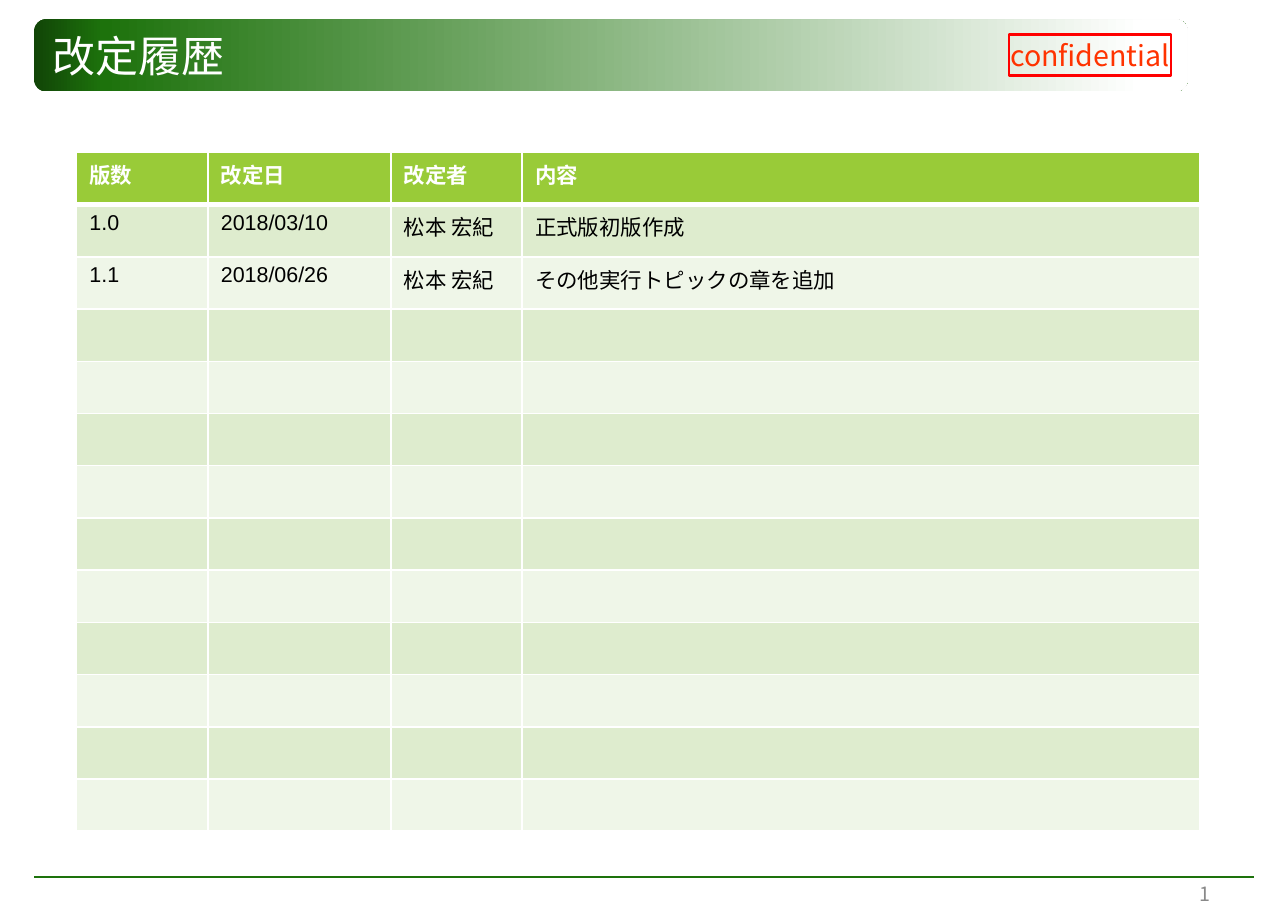
from lxml.etree import SubElement
from pptx import Presentation
from pptx.dml.color import RGBColor
from pptx.enum.shapes import MSO_CONNECTOR, MSO_SHAPE
from pptx.enum.text import MSO_ANCHOR, PP_ALIGN
from pptx.oxml import parse_xml
from pptx.oxml.ns import nsdecls, qn
from pptx.util import Pt

JP_FONT = "Noto Sans CJK JP"
HEADER = ["版数", "改定日", "改定者", "内容"]
REVISIONS = [
    ["1.0", "2018/03/10", "松本 宏紀", "正式版初版作成"],
    ["1.1", "2018/06/26", "松本 宏紀", "その他実行トピックの章を追加"],
]
BODY_ROWS = 12
COL_WIDTHS = [73.5, 102.2, 73.5, 378.6]
ROW_HEIGHT = 29.2


def rgb(color):
    return RGBColor.from_string(color)


def add_run(p, text, size, color, font=JP_FONT, bold=False):
    r = p.add_run()
    r.text = text
    r.font.size = Pt(size)
    r.font.bold = bold
    r.font.name = font
    r.font.color.rgb = rgb(color)
    SubElement(r.font._element, qn("a:ea"), typeface=JP_FONT)


def write_text(sp, text, size, color, align=PP_ALIGN.LEFT, inset=7.2, wrap=True):
    tf = sp.text_frame
    tf.word_wrap = wrap
    tf.vertical_anchor = MSO_ANCHOR.MIDDLE
    tf.margin_left = tf.margin_right = Pt(inset)
    tf.margin_top = tf.margin_bottom = 0
    p = tf.paragraphs[0]
    p.alignment = align
    add_run(p, text, size, color)


def add_text(s, box, text, size, color, align=PP_ALIGN.LEFT):
    sp = s.shapes.add_textbox(*map(Pt, box))
    write_text(sp, text, size, color, align)


def add_box(s, shape, box):
    sp = s.shapes.add_shape(shape, *map(Pt, box))
    sp.shadow.inherit = False
    return sp


def add_title_bar(s, box, stops):
    """Rounded bar with a left-to-right gradient of (percent, colour) stops."""
    sp = add_box(s, MSO_SHAPE.ROUNDED_RECTANGLE, box)
    sp.line.fill.background()
    sp.fill.gradient()
    sp.fill.gradient_angle = 0
    gs_list = sp._element.spPr.find(qn("a:gradFill")).find(qn("a:gsLst"))
    for gs in list(gs_list):
        gs_list.remove(gs)
    for percent, color in stops:
        gs = SubElement(gs_list, qn("a:gs"), pos=str(percent * 1000))
        SubElement(gs, qn("a:srgbClr"), val=color)


def add_stamp(s, box, text, line_color, text_color):
    sp = add_box(s, MSO_SHAPE.RECTANGLE, box)
    sp.fill.background()
    sp.line.color.rgb = rgb(line_color)
    sp.line.width = Pt(1.5)
    write_text(sp, text, 16, text_color, PP_ALIGN.CENTER, inset=0, wrap=False)


def add_rule(s, x1, x2, y, color):
    c = s.shapes.add_connector(MSO_CONNECTOR.STRAIGHT, Pt(x1), Pt(y), Pt(x2), Pt(y))
    c.line.color.rgb = rgb(color)
    c.line.width = Pt(1.5)
    SubElement(c._element.spPr, qn("a:effectLst"))


def set_borders(cell, color, bottom):
    tc_pr = cell._tc.get_or_add_tcPr()
    widths = {"lnL": 1, "lnR": 1, "lnT": 1, "lnB": bottom}
    for i, (tag, width) in enumerate(widths.items()):
        tc_pr.insert(i, parse_xml(
            f'<a:{tag} {nsdecls("a")} w="{Pt(width)}"><a:solidFill>'
            f'<a:srgbClr val="{color}"/></a:solidFill></a:{tag}>'))


def add_history_table(s, left, top):
    rows = BODY_ROWS + 1
    table = s.shapes.add_table(
        rows, len(COL_WIDTHS), Pt(left), Pt(top),
        Pt(sum(COL_WIDTHS)), Pt(rows * ROW_HEIGHT)).table
    for col, width in zip(table.columns, COL_WIDTHS):
        col.width = Pt(width)
    texts = [HEADER, *REVISIONS]
    for i, row in enumerate(table.rows):
        row.height = Pt(ROW_HEIGHT)
        is_header = i == 0
        fill = "99CB38" if is_header else "DEECCE" if i % 2 else "EFF6E8"
        for j, cell in enumerate(row.cells):
            cell.fill.solid()
            cell.fill.fore_color.rgb = rgb(fill)
            # The row below the header shares its thick border
            set_borders(cell, "FFFFFF", 3 if is_header else 1)
            if i < len(texts):
                add_run(cell.text_frame.paragraphs[0], texts[i][j], 12,
                        "FFFFFF" if is_header else "000000", "Arial", is_header)


def main():
    prs = Presentation()
    prs.slide_width, prs.slide_height = Pt(720), Pt(510.5)
    s = prs.slides.add_slide(prs.slide_layouts[6])
    add_title_bar(s, (19, 10.8, 645, 40.3),
                  [(0, "114507"), (6, "1D720C"), (96, "FFFFFF"), (100, "FFFFFF")])
    add_rule(s, 19.2, 700.8, 490.4, "1D720C")
    add_stamp(s, (564, 19.3, 90.7, 22.8), "confidential", "FF0000", "FF3300")
    add_text(s, (22.3, 10.8, 648, 40.3), "改定履歴", 24, "FFFFFF")
    add_text(s, (516.2, 494.1, 167.8, 10.8), "1", 11, "898989", PP_ALIGN.RIGHT)
    add_history_table(s, 42.8, 85.2)
    prs.save("out.pptx")


if __name__ == "__main__":
    main()
